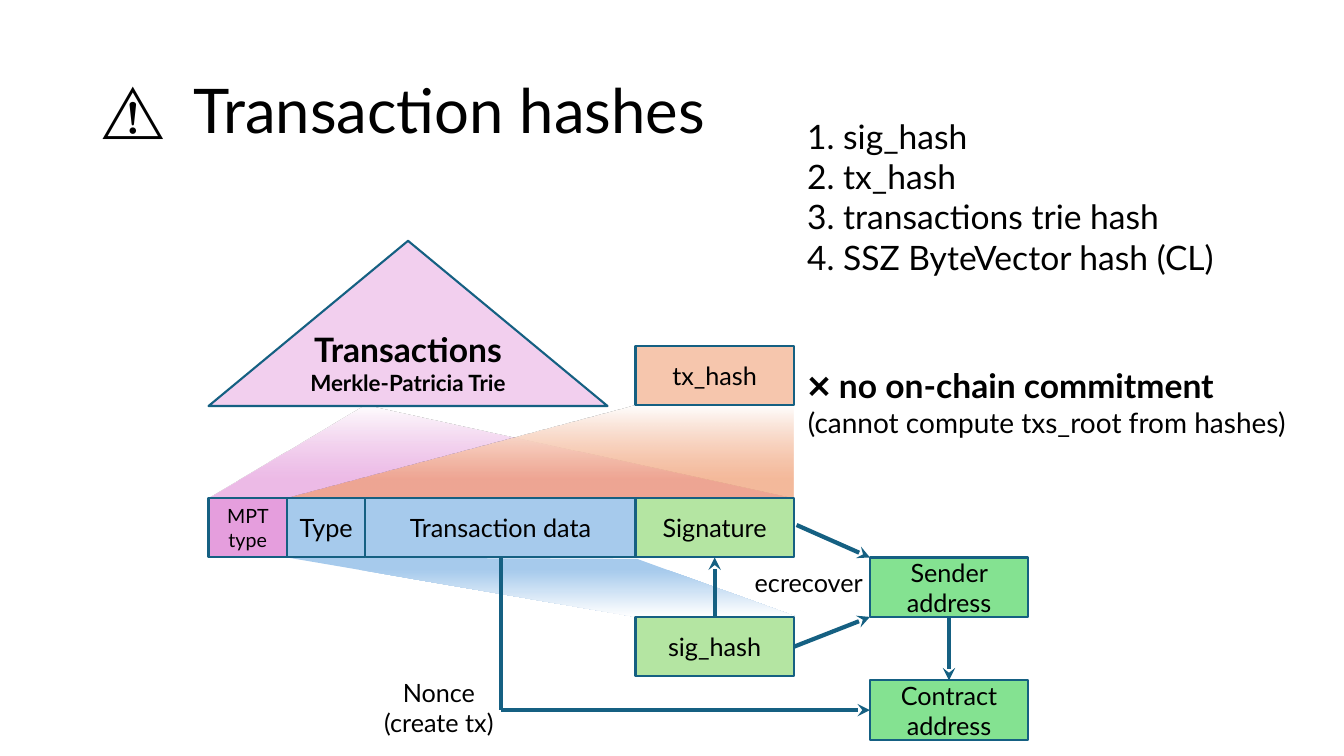
from dataclasses import dataclass

from lxml.etree import SubElement
from pptx import Presentation
from pptx.dml.color import RGBColor
from pptx.enum.shapes import MSO_CONNECTOR, MSO_SHAPE
from pptx.enum.text import MSO_ANCHOR, PP_ALIGN
from pptx.oxml.ns import qn
from pptx.util import Pt


@dataclass(frozen=True)
class Theme:
    font: str = "Lato"
    ink: str = "000000"
    line: str = "156082"
    paper: str = "FFFFFF"
    pink: str = "E59EDD"
    pale_pink: str = "F2CFEE"
    orange: str = "F09C70"
    pale_orange: str = "F6C6AD"
    blue: str = "A6CAEC"
    lime: str = "B4E5A2"
    green: str = "84E291"
    title: int = 44
    large: int = 24
    note: int = 20
    body: int = 18
    caption: int = 16
    small: int = 14
    outline: float = 1.5
    arrow: float = 3


class Canvas:
    def __init__(self, slide, theme):
        self.shapes, self.t = slide.shapes, theme

    def fill_text(self, tf, paras, align=PP_ALIGN.LEFT, spacing=None, **frame):
        """Each paragraph is a list of (text, size, bold) runs."""
        for name, value in frame.items():
            setattr(tf, name, value)
        for i, runs in enumerate(paras):
            p = tf.add_paragraph() if i else tf.paragraphs[0]
            p.alignment, p.line_spacing = align, spacing
            for text, size, bold in runs:
                r = p.add_run()
                r.text = text
                fmt = {"name": self.t.font, "size": Pt(size), "bold": bold}
                for name, value in fmt.items():
                    setattr(r.font, name, value)
                r.font.color.rgb = RGBColor.from_string(self.t.ink)

    def text(self, x, y, w, h, paras, wrap=True, **style):
        sp = self.shapes.add_textbox(Pt(x), Pt(y), Pt(w), Pt(h))
        self.fill_text(sp.text_frame, paras, word_wrap=wrap, **style)

    def box(self, x, y, w, h, fill, paras, kind=MSO_SHAPE.RECTANGLE, **frame):
        sp = self.shapes.add_shape(kind, Pt(x), Pt(y), Pt(w), Pt(h))
        sp.shadow.inherit = False
        sp.fill.solid()
        sp.fill.fore_color.rgb = RGBColor.from_string(fill)
        sp.line.color.rgb = RGBColor.from_string(self.t.line)
        sp.line.width = Pt(self.t.outline)
        self.fill_text(sp.text_frame, paras, PP_ALIGN.CENTER, word_wrap=True,
                       vertical_anchor=MSO_ANCHOR.MIDDLE, **frame)

    def beam(self, points, color, angle, alpha=None):
        """Polygon fading from color to the paper colour."""
        start, *rest = [(Pt(x), Pt(y)) for x, y in points]
        fb = self.shapes.build_freeform(*start)
        fb.add_line_segments(rest, close=True)
        sp = fb.convert_to_shape()
        sp.shadow.inherit = False
        sp.line.fill.background()
        sp.fill.gradient()
        sp.fill.gradient_angle = angle
        stops = zip(sp.fill.gradient_stops, (0.2, 1), (color, self.t.paper))
        for stop, position, rgb in stops:
            stop.position = position
            stop.color.rgb = RGBColor.from_string(rgb)
        if alpha:
            clr = next(sp._element.spPr.iter(qn("a:srgbClr")))
            SubElement(clr, qn("a:alpha"), val=str(alpha * 1000))

    def arrow(self, x1, y1, x2, y2, head=True):
        cn = self.shapes.add_connector(MSO_CONNECTOR.STRAIGHT,
                                       Pt(x1), Pt(y1), Pt(x2), Pt(y2))
        cn.line.color.rgb = RGBColor.from_string(self.t.line)
        cn.line.width = Pt(self.t.arrow)
        if head:
            ln = cn._element.spPr.find(qn("a:ln"))
            SubElement(ln, qn("a:tailEnd"), type="stealth")
        SubElement(cn._element.spPr, qn("a:effectLst"))


def main():
    prs = Presentation()
    prs.slide_width, prs.slide_height = Pt(960), Pt(540)
    t = Theme()
    s = Canvas(prs.slides.add_slide(prs.slide_layouts[6]), t)

    # Shared grid
    left, type_x, data_x, sig_x, right = 149, 205, 261, 454, 567
    address_x, box_w, box_h = 621.4, 113, 42.5
    hash_y, row_y, sender_y, sig_hash_y, contract_y = 247, 355.7, 398.2, 440.6, 486
    hash_bottom, row_bottom = hash_y + box_h, row_y + box_h
    nonce_x, nonce_y = 357.6, contract_y + box_h / 2

    # Title
    s.text(66, 29, 828, 104, [[("⚠️  Transaction hashes", t.title, False)]],
           spacing=0.9, vertical_anchor=MSO_ANCHOR.MIDDLE)

    # Trie and the fading beams
    s.beam([(data_x, hash_bottom), (left, row_y), (right, row_y)], t.pink, 90, 70)
    s.box(left, 172, 285, 118, t.pale_pink,
          [[("Transactions", t.large, True),
            (" Merkle-Patricia Trie", t.caption, True)]],
          MSO_SHAPE.ISOSCELES_TRIANGLE, margin_left=0, margin_right=0,
          margin_top=0, margin_bottom=Pt(3.6))
    s.beam([(sig_x, hash_bottom), (type_x, row_y), (right, row_y),
            (right, hash_bottom)], t.orange, 90, 70)
    s.beam([(type_x, row_bottom), (sig_x, sig_hash_y), (right + 2, sig_hash_y),
            (sig_x + 1, row_bottom + 1)], t.blue, 270)

    # Transaction fields, hashes and addresses
    boxes = [
        (data_x, row_y, sig_x - data_x, t.blue, "Transaction data", t.body),
        (type_x, row_y, data_x - type_x, t.blue, "Type", t.body),
        (sig_x, row_y, right - sig_x, t.lime, "Signature", t.body),
        (left, row_y, type_x - left, t.pink, "MPT type", t.small),
        (sig_x, hash_y, box_w, t.pale_orange, "tx_hash", t.body),
        (sig_x, sig_hash_y, box_w, t.lime, "sig_hash", t.body),
        (address_x, sender_y, box_w, t.green, "Sender address", t.body),
        (address_x, contract_y, box_w, t.green, "Contract address", t.body),
    ]
    for x, y, w, fill, label, size in boxes:
        s.box(x, y, w, box_h, fill, [[(label, size, False)]])

    # Arrows
    sig_mid, address_mid = sig_x + box_w / 2, address_x + box_w / 2
    s.arrow(sig_mid, sig_hash_y, sig_mid, row_bottom)
    s.arrow(right + 2, 375, address_x, sender_y)
    s.arrow(right, 462, address_x, sender_y + box_h)
    s.arrow(nonce_x, nonce_y, address_x, nonce_y)
    s.arrow(nonce_x, row_bottom, nonce_x, nonce_y, head=False)
    s.arrow(address_mid, sender_y + box_h, address_mid, contract_y)

    # Labels
    s.text(267, 480, 93, 51, [[("Nonce", t.body, False)],
                              [("(create tx)", t.body, False)]],
           wrap=False, align=PP_ALIGN.CENTER)
    s.text(532, 402, 92, 29, [[("ecrecover", t.body, False)]], wrap=False)

    # List of hashes and the remark
    hashes = ["sig_hash", "tx_hash", "transactions trie hash",
              "SSZ ByteVector hash (CL)"]
    s.text(569.5, 79, 385, 124, [[(f"{n}. {name}", t.large, False)]
                                 for n, name in enumerate(hashes, 1)])
    s.text(570, 257, 385, 60.5, [
        [("❌ ", t.large, False), ("no on-chain commitment", t.large, True)],
        [("(cannot compute txs_root from hashes)", t.note, False)]])

    prs.save("out.pptx")


if __name__ == "__main__":
    main()
